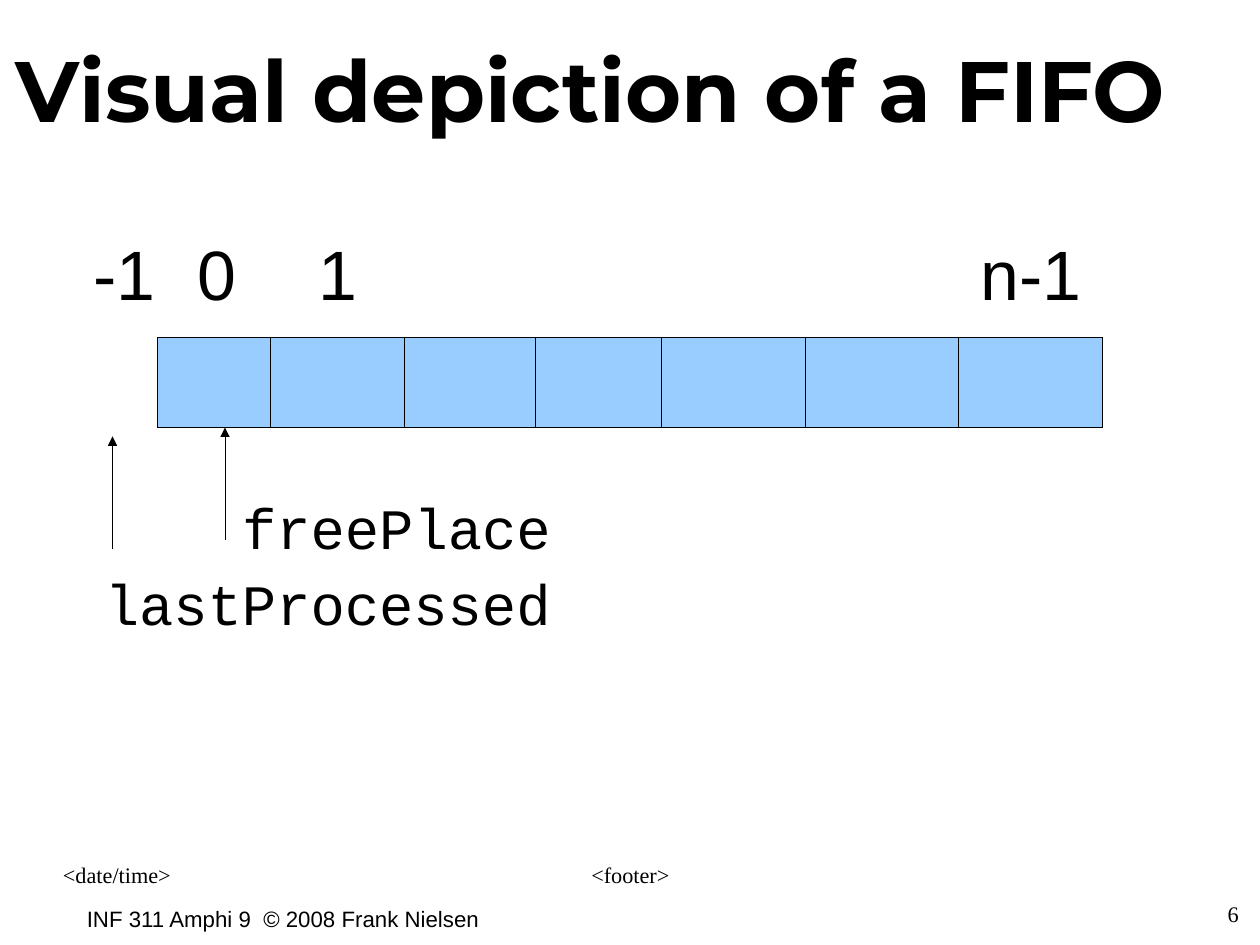
import pptx
import pptx.util
import pptx.dml.color
import pptx.enum.shapes
import pptx.enum.text
import pptx.oxml.ns
import lxml.etree

Cm, Pt = pptx.util.Cm, pptx.util.Pt
PP_ALIGN = pptx.enum.text.PP_ALIGN
MSO_AUTO_SIZE = pptx.enum.text.MSO_AUTO_SIZE
LEFT, CENTER, RIGHT = PP_ALIGN.LEFT, PP_ALIGN.CENTER, PP_ALIGN.RIGHT
HAIRLINE = Pt(0.01)


def paint(fmt, color):
    if hasattr(fmt, "solid"):
        fmt.solid()
        fmt = fmt.fore_color
    fmt.rgb = pptx.dml.color.RGBColor.from_string(color)


def write(sp, text, font, size, align=LEFT):
    tf = sp.text_frame
    tf.text = text
    tf.vertical_anchor = pptx.enum.text.MSO_ANCHOR.TOP
    p = tf.paragraphs[0]
    p.alignment = align
    p.font.name = font
    p.font.size = Pt(size)
    paint(p.font.color, "000000")
    return tf


prs = pptx.Presentation()
prs.slide_width, prs.slide_height = Cm(28), Cm(21)
s = prs.slides.add_slide(prs.slide_layouts[5])

title = s.shapes.title
title.left, title.top, title.width, title.height = Cm(0.1), Cm(0.7), Cm(27.53), Cm(2.95)
tf = write(title, "Visual depiction of a FIFO", "Montserrat", 54)
tf.auto_size = MSO_AUTO_SIZE.NONE
tf.paragraphs[0].font.bold = True

footers = [
    ("<date/time>", 1.4, 19.13, 6.53, LEFT),
    ("<footer>", 9.58, 19.13, 8.86, CENTER),
    ("6", 21, 20, 6.53, RIGHT),
]
for text, x, y, w, align in footers:
    sp = s.shapes.add_textbox(Cm(x), Cm(y), Cm(w), Cm(1.45))
    tf = write(sp, text, "Times New Roman", 14, align)
    tf.word_wrap = True
    tf.margin_left = tf.margin_top = tf.margin_right = tf.margin_bottom = 0

queue_left, queue_top, queue_width, queue_height = 3.5, 7.5, 21, 2
queue_bottom = queue_top + queue_height
queue = s.shapes.add_shape(
    pptx.enum.shapes.MSO_SHAPE.RECTANGLE,
    Cm(queue_left), Cm(queue_top), Cm(queue_width), Cm(queue_height))
queue.shadow.inherit = False
paint(queue.fill, "99CCFF")
paint(queue.line.fill, "000000")
queue.line.width = HAIRLINE

dividers = [(x, queue_top, queue_bottom, False) for x in (6, 9, 11.9, 14.7, 17.9, 21.3)]
pointers = [(2.5, 12.2, 9.7, True), (5, 12, queue_bottom, True)]
for x, start, end, arrow in dividers + pointers:
    line = s.shapes.add_connector(
        pptx.enum.shapes.MSO_CONNECTOR.STRAIGHT, Cm(x), Cm(start), Cm(x), Cm(end))
    paint(line.line.fill, "000000")
    line.line.width = HAIRLINE
    if arrow:
        ln = line._element.spPr.find(pptx.oxml.ns.qn("a:ln"))
        lxml.etree.SubElement(ln, pptx.oxml.ns.qn("a:tailEnd"), type="triangle")
    lxml.etree.SubElement(line._element.spPr, pptx.oxml.ns.qn("a:effectLst"))

labels = [
    ("INF 311 Amphi 9  © 2008 Frank Nielsen", 1.68, 20, 9.25, 0.81, "Arial", 14),
    ("lastProcessed", 2.08, 12.5, 10.5, 1.7, "Courier New", 36),
    ("freePlace", 5.13, 10.82, 7.45, 1.7, "Courier New", 36),
    ("-1", 1.83, 5, 2.1, 1.98, "Arial", 44),
    ("0", 4.14, 5, 1.4, 1.98, "Arial", 44),
    ("1", 6.83, 5, 1.4, 1.98, "Arial", 44),
    ("n-1", 21.54, 5, 3, 1.98, "Arial", 44),
]
for text, x, y, w, h, font, size in labels:
    sp = s.shapes.add_textbox(Cm(x), Cm(y), Cm(w), Cm(h))
    tf = write(sp, text, font, size)
    tf.word_wrap = False
    tf.auto_size = MSO_AUTO_SIZE.SHAPE_TO_FIT_TEXT

prs.save("out.pptx")
